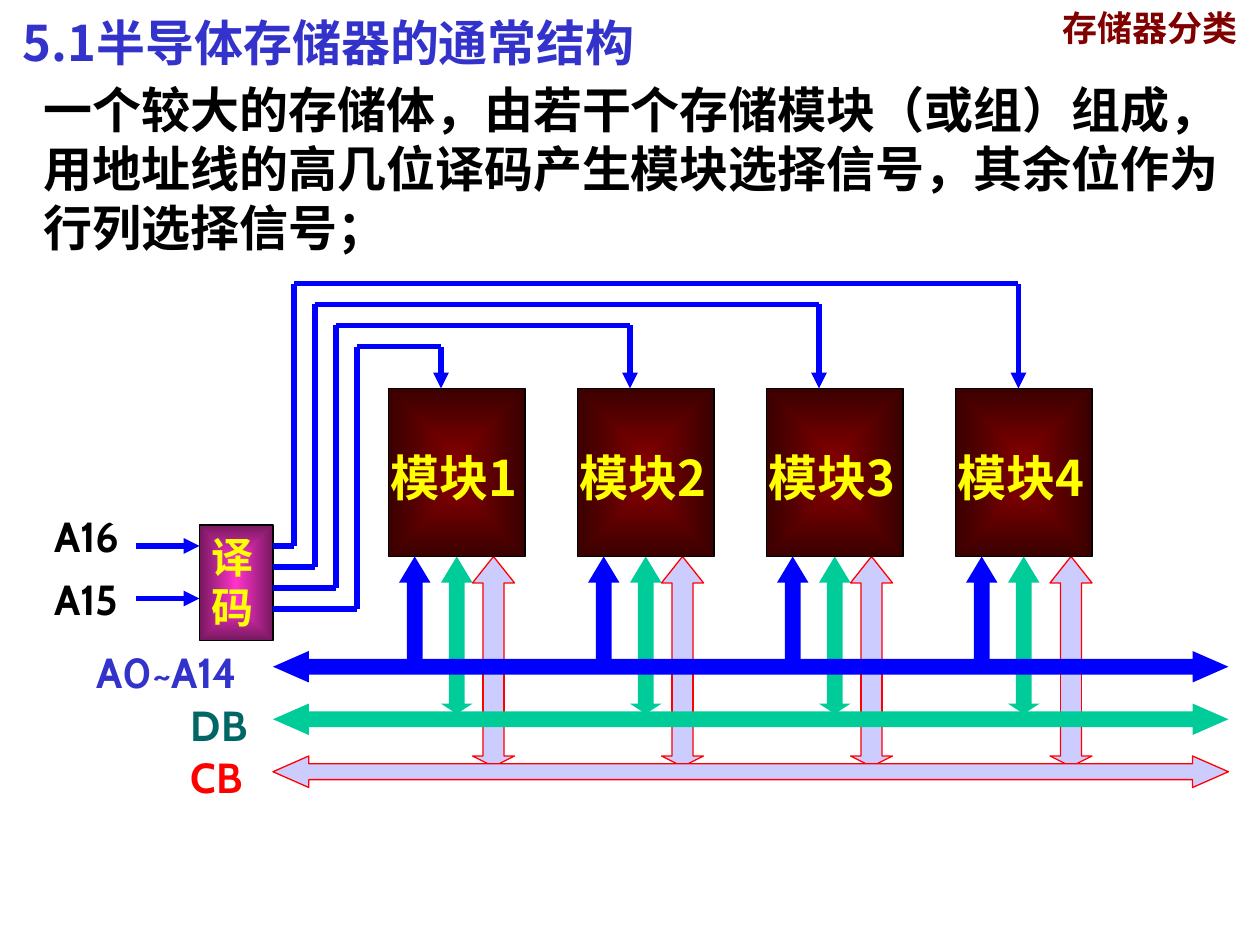
from itertools import pairwise

from lxml import etree
from pptx import Presentation
from pptx.dml.color import RGBColor
from pptx.enum.shapes import MSO_CONNECTOR as Connector, MSO_SHAPE as Preset
from pptx.enum.text import MSO_ANCHOR as Anchor, MSO_AUTO_SIZE as AutoSize, PP_ALIGN as Align
from pptx.oxml import parse_xml
from pptx.oxml.ns import nsdecls, qn
from pptx.util import Cm, Pt

LATIN, CJK = "Cabin", "Noto Sans CJK SC"
BLUE, GREEN, LILAC, RED = "0000FF", "00CC99", "CCCCFF", "FF0000"
INDIGO, YELLOW, BLACK = "3333CC", "FFFF00", "000000"
MODULE_COUNT, MODULE_STEP = 4, 18


def grid(count):
    return Cm(count * 2.54 / 12)


def color(value):
    return RGBColor.from_string(value)


def place(shape, box):
    shape.left, shape.top, shape.width, shape.height = map(grid, box)


def write(shape, text, size, hex_color, font_name=LATIN, spacing=None):
    frame = shape.text_frame
    frame.text = text
    frame.word_wrap = True
    frame.vertical_anchor = Anchor.TOP
    paragraph = frame.paragraphs[0]
    paragraph.alignment = Align.LEFT
    if spacing:
        paragraph.line_spacing = spacing
    run = paragraph.runs[0]
    run.font.size, run.font.bold, run.font.name = Pt(size), True, font_name
    run.font.color.rgb = color(hex_color)
    east_asian = etree.SubElement(run.font._element, qn("a:ea"))
    east_asian.set("typeface", font_name)


def add_label(slide, box, text, size, hex_color, font_name=LATIN, spacing=None):
    label = slide.shapes.add_textbox(*map(grid, box))
    write(label, text, size, hex_color, font_name, spacing)
    label.text_frame.auto_size = AutoSize.SHAPE_TO_FIT_TEXT


def add_block(slide, preset, box, fill, line=None, adjustments=()):
    shape = slide.shapes.add_shape(preset, *map(grid, box))
    shape.shadow.inherit = False
    shape.fill.solid()
    shape.fill.fore_color.rgb = color(fill)
    for index, value in enumerate(adjustments):
        shape.adjustments[index] = value
    if line:
        shape.line.color.rgb = color(line)
        shape.line.width = Pt(0.75)
    else:
        shape.line.fill.background()
    return shape


def add_glowing_box(slide, box, center, edge):
    shape = add_block(slide, Preset.RECTANGLE, box, center, BLACK)
    properties = shape._element.spPr
    gradient = parse_xml(
        f'<a:gradFill {nsdecls("a")}><a:gsLst>'
        f'<a:gs pos="0"><a:srgbClr val="{center}"/></a:gs>'
        f'<a:gs pos="100000"><a:srgbClr val="{edge}"/></a:gs></a:gsLst>'
        '<a:path path="rect"><a:fillToRect l="50000" t="50000" r="50000" b="50000"/></a:path>'
        '</a:gradFill>')
    properties.replace(properties.find(qn("a:solidFill")), gradient)


def add_wire(slide, points, arrow=True):
    for start, end in pairwise(points):
        wire = slide.shapes.add_connector(Connector.STRAIGHT, *map(grid, start + end))
        wire.line.color.rgb = color(BLUE)
        wire.line.width = Pt(3)
        etree.SubElement(wire._element.spPr, qn("a:effectLst"))
        if arrow and end == points[-1]:
            tail = etree.SubElement(wire.line._get_or_add_ln(), qn("a:tailEnd"))
            tail.set("type", "triangle")


def add_module(slide, left, top, name, shift):
    bottom = top + 16
    green, lilac = left + 5, left + 8 + shift
    add_block(slide, Preset.UP_ARROW, (green, bottom, 3, 10), GREEN, None, (0.5, 0.83))
    add_block(slide, Preset.DOWN_ARROW, (green, bottom + 11, 3, 4), GREEN, None, (0.5, 0.33))
    add_block(slide, Preset.DOWN_ARROW, (lilac, bottom + 16, 4, 4), LILAC, RED, (0.5, 0.25))
    add_block(slide, Preset.RECTANGLE, (lilac + 1, bottom + 11, 2, 4), LILAC, RED)
    add_block(slide, Preset.UP_ARROW, (lilac, bottom, 4, 10), LILAC, RED, (0.5, 0.63))
    add_block(slide, Preset.UP_ARROW, (left + 1, bottom, 3, 10), BLUE, None, (0.5, 0.83))
    add_glowing_box(slide, (left, top, 13, 16), "800000", "3B0000")
    add_label(slide, (left - 1, top + 5, 15, 12.5), name, 28, YELLOW, CJK)


def add_buses(slide, left, top, width):
    buses = [("A0~A14", 8, 19, INDIGO, BLUE, None),
             ("DB", 17, 9, "006666", GREEN, None),
             ("CB", 17, 9, RED, LILAC, RED)]
    for index, (name, label_left, label_width, text_color, fill, line) in enumerate(buses):
        bus_top = top + 5 * index
        add_block(slide, Preset.LEFT_RIGHT_ARROW, (left, bus_top, width, 3),
                  fill, line, (0.5, 1.14))
        add_label(slide, (label_left, bus_top - 1, label_width, 6), name, 24, text_color)


def add_decoder(slide, left, top, width, height):
    add_glowing_box(slide, (left, top, width, height), "FF33CC", "76185E")
    add_label(slide, (left, top, width, height), "译码", 24, YELLOW)
    for name, label_top, wire_top in [("A16", top - 2, top + 2), ("A15", top + 4, top + 7)]:
        add_label(slide, (left - 15, label_top, 12, 6), name, 24, BLACK)
        add_wire(slide, [(left - 6, wire_top), (left, wire_top)])


def add_select_wire(slide, rank, port, module_entry):
    port_left, port_top = port[0], port[1] + 2 * rank
    riser, crest = port_left + 2 + 2 * rank, port_top - 25
    add_wire(slide, [(port_left, port_top), (riser, port_top), (riser, crest),
                     (module_entry[0], crest), module_entry])


def add_diagram(slide, left, top):
    last = MODULE_COUNT - 1
    module_lefts = [left + 18 + MODULE_STEP * index for index in range(MODULE_COUNT)]
    shifts = [int(index == last) for index in range(MODULE_COUNT)]
    for index, (module_left, shift) in enumerate(zip(module_lefts, shifts)):
        add_module(slide, module_left, top, f"模块{index + 1}", shift)
    add_buses(slide, left + 7, top + 25, 91)
    add_decoder(slide, left, top + 13, 7, 11)
    for index, (module_left, shift) in enumerate(zip(module_lefts, shifts)):
        add_select_wire(slide, last - index, (left + 7, top + 15),
                        (module_left + 5 + shift, top))


def add_heading(slide):
    title = slide.shapes.title
    place(title, (100, 0, 22, 5))
    write(title, "存储器分类", 20, "800000", CJK)
    title.text_frame.auto_size = AutoSize.NONE
    add_label(slide, (1, 0, 71, 7.5), "5.1半导体存储器的通常结构", 28, INDIGO, CJK, 1.1)
    add_label(slide, (3, 7, 115, 18),
              "一个较大的存储体，由若干个存储模块（或组）组成，"
              "用地址线的高几位译码产生模块选择信号，其余位作为行列选择信号；", 28, BLACK)


def main():
    presentation = Presentation()
    presentation.slide_width, presentation.slide_height = Cm(25.4), Cm(19.05)
    slide = presentation.slides.add_slide(presentation.slide_layouts[5])
    add_heading(slide)
    add_diagram(slide, 19, 37)
    presentation.save("out.pptx")


if __name__ == "__main__":
    main()
